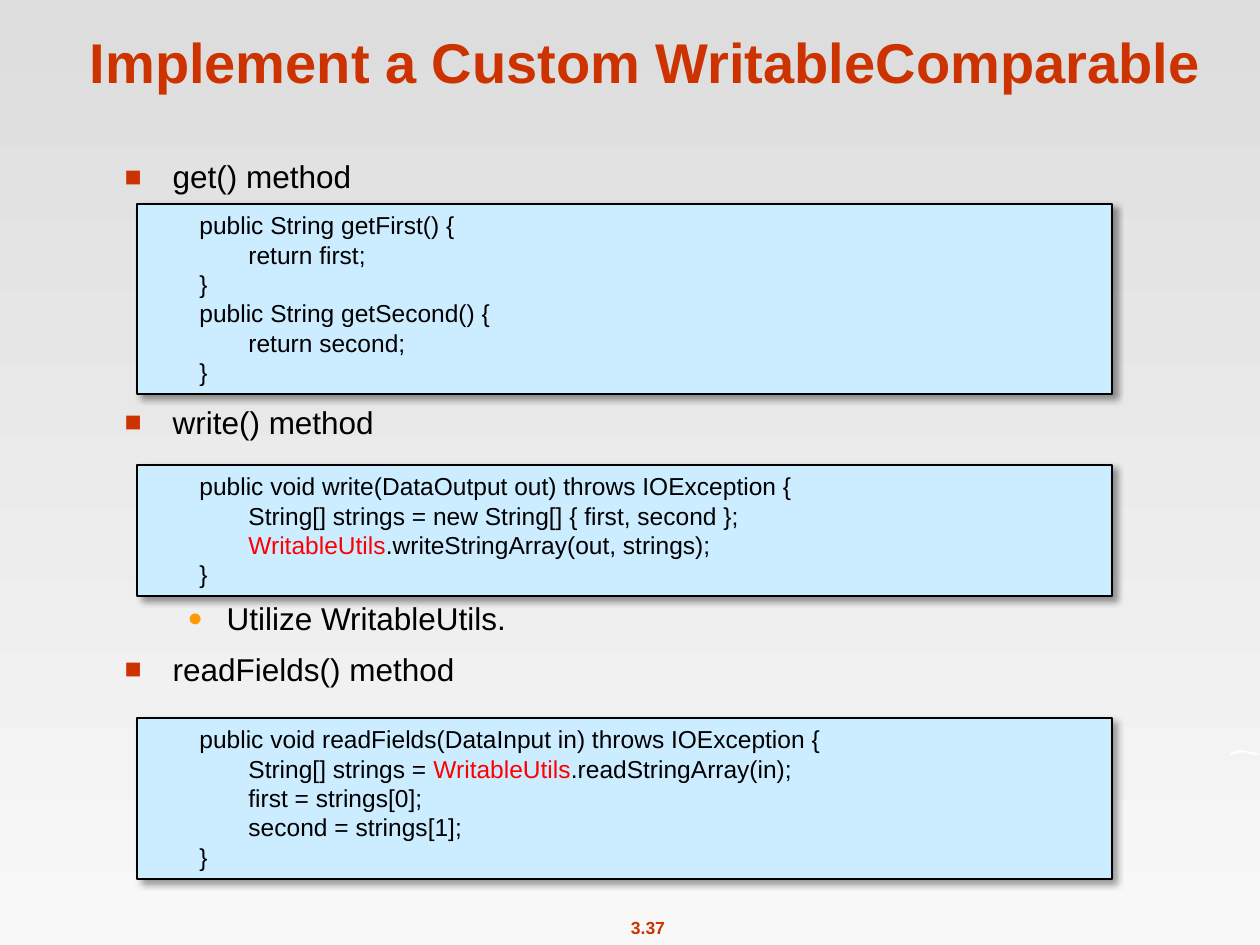
from lxml.etree import SubElement
from pptx import Presentation
from pptx.dml.color import RGBColor
from pptx.enum.shapes import MSO_SHAPE as Preset
from pptx.enum.text import MSO_ANCHOR as Anchor, MSO_AUTO_SIZE as AutoSize, PP_ALIGN as Align
from pptx.oxml import parse_xml
from pptx.oxml.ns import nsdecls, qn
from pptx.util import Pt

PX = 914400 / 126
RED, ORANGE, BLACK, HIGHLIGHT = "CC3300", "FF9900", "000000", "FF0000"


def color(value):
    return RGBColor.from_string(value)


def add_span(para, text, size, value=BLACK, bold=False):
    span = para.add_run()
    span.text = text
    for name, setting in {"name": "Arial", "size": Pt(size), "bold": bold}.items():
        setattr(span.font, name, setting)
    span.font.color.rgb = color(value)


deck = Presentation()
deck.slide_width, deck.slide_height = round(1260 * PX), round(945 * PX)
page = deck.slides.add_slide(deck.slide_layouts[1])

backdrop = page.background.fill
backdrop.gradient()
backdrop.gradient_angle = 270
for stop, position, value in zip(backdrop.gradient_stops, (0, 1), ("DDDDDD", "F8F8F8")):
    stop.position = position
    stop.color.rgb = color(value)

number = page.shapes.add_textbox(*[round(v * PX) for v in (617, 911, 62, 34)])
number.text_frame.word_wrap = False
para = number.text_frame.paragraphs[0]
para.alignment = Align.CENTER
add_span(para, "3.37", 10, RED, True)

outline = [(1231, 753), (1235, 751), (1240, 750), (1246, 751), (1252, 752), (1260, 754),
           (1258, 755), (1250, 754), (1244, 752), (1238, 753), (1233, 754), (1229, 757)]
builder = page.shapes.build_freeform(1229, 757, PX)
builder.add_line_segments(outline, close=True)
swoosh = builder.convert_to_shape()
swoosh.shadow.inherit = False
swoosh.fill.solid()
swoosh.fill.fore_color.rgb = color("FFFFFF")
swoosh.line.fill.background()

title, body = page.shapes.title, page.placeholders[1]
places = [(title, (52, 16, 1187, 85), Anchor.BOTTOM), (body, (112, 151, 1056, 675), Anchor.TOP)]
for box, place, anchor in places:
    for name, value in zip(("left", "top", "width", "height"), place):
        setattr(box, name, round(value * PX))
    for name, setting in {"vertical_anchor": anchor, "auto_size": AutoSize.NONE, "word_wrap": True}.items():
        setattr(box.text_frame, name, setting)

para = title.text_frame.paragraphs[0]
para.alignment = Align.CENTER
add_span(para, "Implement a Custom WritableComparable", 32, RED, True)

formats = [
    {"margin": 48, "hang": 48, "mark": "■", "tint": RED, "percent": 90},
    {"margin": 102, "hang": 39, "mark": "●", "tint": ORANGE, "percent": 80},
]
items = [
    ("get() method", 0, 0),
    ("write() method", 0, 118.7),
    ("Utilize WritableUtils.", 1, 90.7),
    ("readFields() method", 0, 7.2),
]
for index, (text, level, gap) in enumerate(items):
    frame = body.text_frame
    para = frame.add_paragraph() if index else frame.paragraphs[0]
    para.level = level
    para.space_before = Pt(gap)
    add_span(para, text, 18)
    style = formats[level]
    props = para._p.get_or_add_pPr()
    props.set("marL", str(round(style["margin"] * PX)))
    props.set("indent", str(round(-style["hang"] * PX)))
    SubElement(SubElement(props, qn("a:buClr")), qn("a:srgbClr"), val=style["tint"])
    SubElement(props, qn("a:buSzPct"), val=str(style["percent"] * 1000))
    SubElement(props, qn("a:buFont"), typeface="Arial")
    SubElement(props, qn("a:buChar"), char=style["mark"])

listings = [
    (204, 190, [
        (1, "public String getFirst() {"),
        (2, "return first;"),
        (1, "}"),
        (1, "public String getSecond() {"),
        (2, "return second;"),
        (1, "}"),
    ]),
    (465, 131, [
        (1, "public void write(DataOutput out) throws IOException {"),
        (2, "String[] strings = new String[] { first, second };"),
        (2, "WritableUtils.writeStringArray(out, strings);"),
        (1, "}"),
    ]),
    (718, 161, [
        (1, "public void readFields(DataInput in) throws IOException {"),
        (2, "String[] strings = WritableUtils.readStringArray(in);"),
        (2, "first = strings[0];"),
        (2, "second = strings[1];"),
        (1, "}"),
    ]),
]
for top, height, lines in listings:
    box = page.shapes.add_shape(Preset.RECTANGLE, *[round(v * PX) for v in (137, top, 975, height)])
    box.fill.solid()
    box.fill.fore_color.rgb = color("CCECFF")
    box.line.color.rgb = color(BLACK)
    box.line.width = Pt(0.75)
    box.shadow.inherit = False
    box._element.spPr.find(qn("a:effectLst")).append(parse_xml(
        f'<a:outerShdw {nsdecls("a")} blurRad="{Pt(4)}" dist="{Pt(3)}" dir="2700000" algn="tl" rotWithShape="0">'
        f'<a:srgbClr val="{BLACK}"><a:alpha val="40000"/></a:srgbClr></a:outerShdw>'))
    frame = box.text_frame
    for name, setting in {"vertical_anchor": Anchor.TOP, "word_wrap": True}.items():
        setattr(frame, name, setting)
    for index, (depth, line) in enumerate(lines):
        para = frame.add_paragraph() if index else frame.paragraphs[0]
        para.alignment = Align.LEFT
        para.line_spacing = Pt(16.8)
        para._p.get_or_add_pPr().set("marL", str(round((1 + 49 * depth) * PX)))
        for part in line.partition("WritableUtils"):
            if part:
                add_span(para, part, 14, HIGHLIGHT if part == "WritableUtils" else BLACK)

deck.save("out.pptx")
